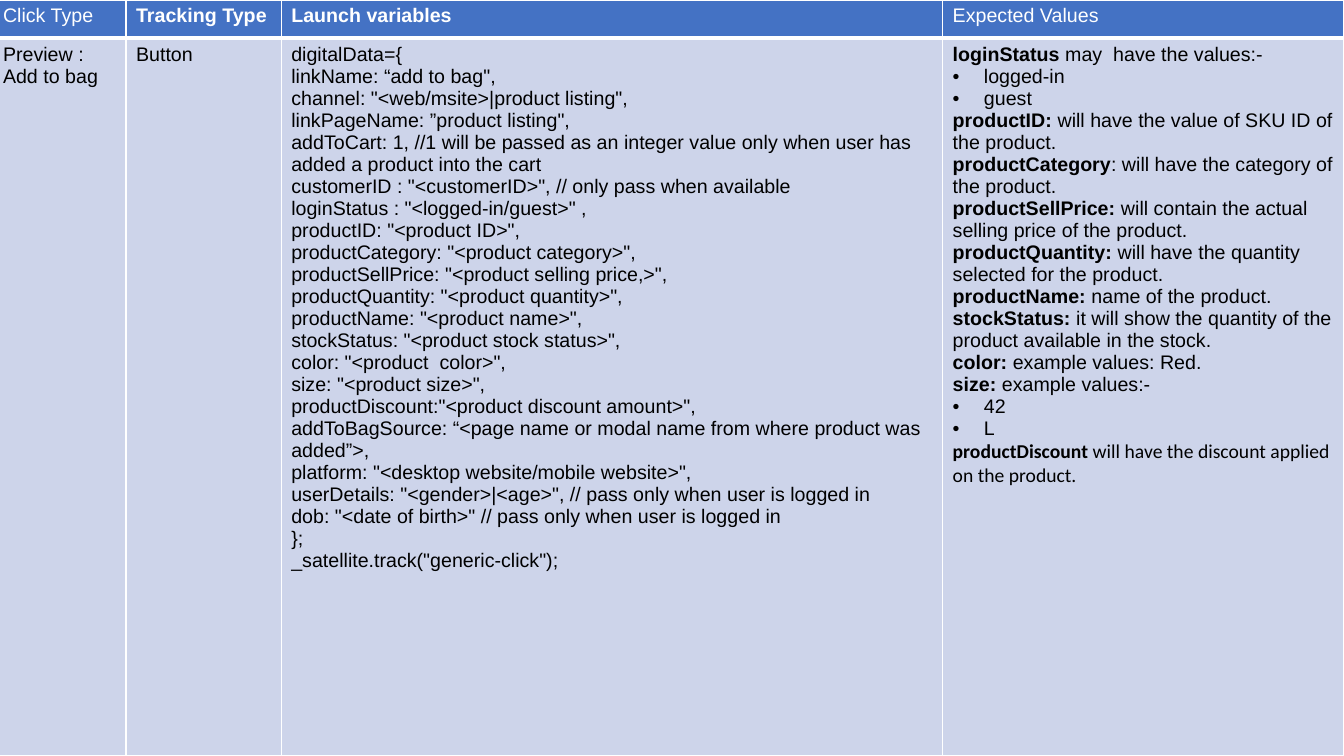
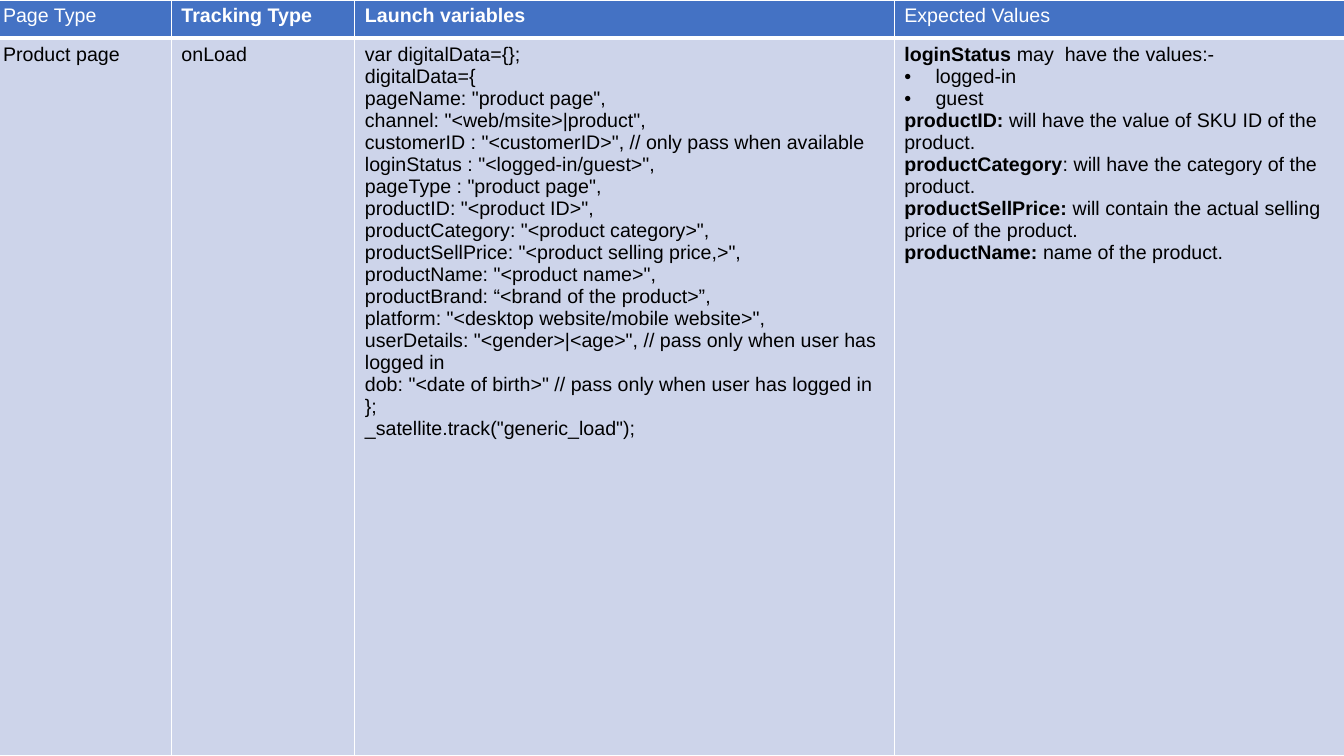
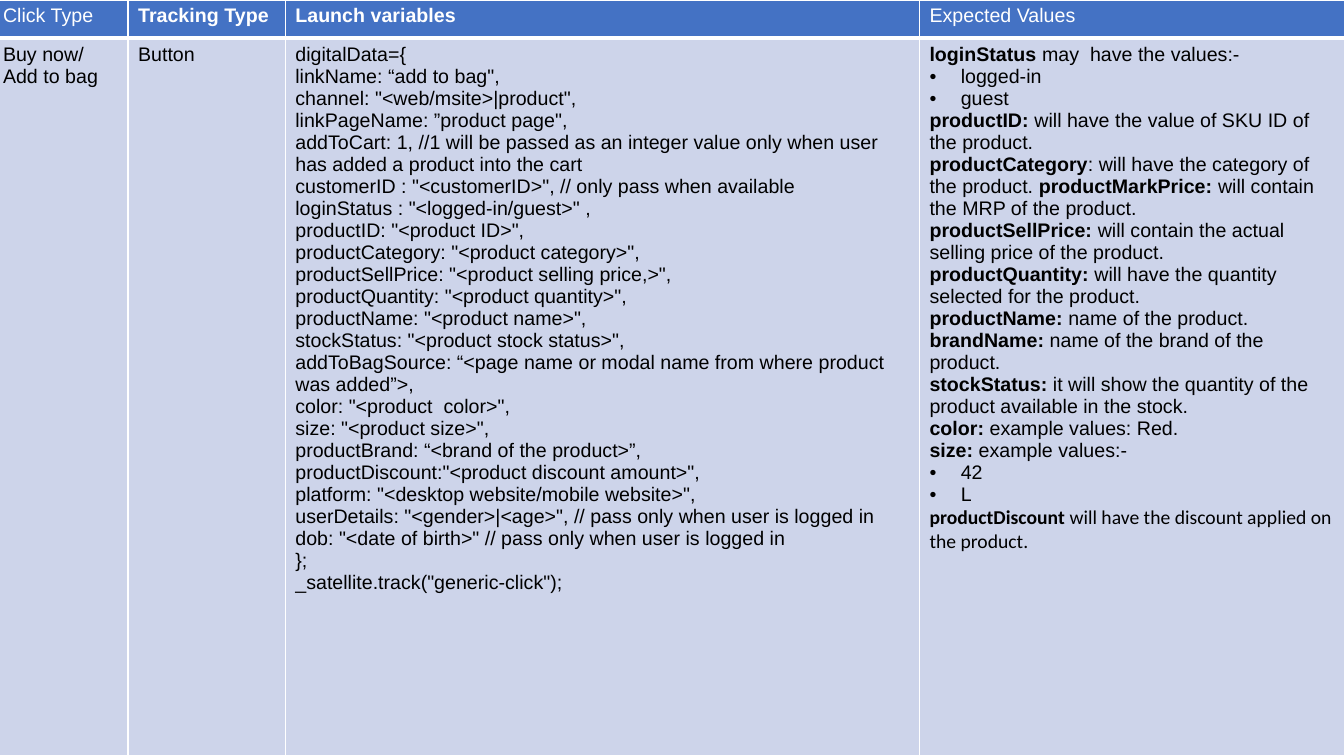
from lxml.etree import SubElement
from pptx import Presentation
from pptx.dml.color import RGBColor
from pptx.oxml.ns import qn
from pptx.util import Inches, Pt

COLORS = {"header": "4472C4", "body": "CDD4EA", "white": "FFFFFF", "black": "000000"}
FONT, DISCOUNT_FONT, TEXT_SIZE = "Arial", "Calibri", Pt(14)
ROW_HEIGHTS = (0.38, 7.12)
HEADINGS = ("Tracking Type", "Launch variables", "Expected Values")
BOLD_HEADINGS = ("Tracking Type", "Launch variables")
BULLET_INDENT = Inches(0.31)
THIN, THICK = Pt(1), Pt(3)

# Launch variables: one string per paragraph, "\n" is a line break
ADD_TO_CART = ("addToCart: 1, //1 will be passed as an integer value only when user has "
               "added a product into the cart")
BAG_SOURCE = "addToBagSource: “<page name or modal name from where product was added”>,"
CUSTOMER = 'customerID : "<customerID>", // only pass when available'
STOCK = 'stockStatus: "<product stock status>",'
COLOR = 'color: "<product  color>",'
SIZE = 'size: "<product size>",'
BRAND = "productBrand: “<brand of the product>”,"
DISCOUNT = 'productDiscount:"<product discount amount>",'
PRODUCT = [
    'productID: "<product ID>",',
    'productCategory: "<product category>",',
    'productSellPrice: "<product selling price,>",',
]
QUANTITY = 'productQuantity: "<product quantity>",'
NAME = 'productName: "<product name>",'


def user_lines(verb):
    return ('platform: "<desktop website/mobile website>",\n'
            f'userDetails: "<gender>|<age>", // pass only when user {verb} logged in\n'
            f'dob: "<date of birth>" // pass only when user {verb} logged in')


def click_variables(channel, link_page, details):
    return [
        "digitalData={",
        'linkName: “add to bag",',
        f'channel: "<web/msite>|{channel}",',
        f'linkPageName: ”{link_page}",',
        ADD_TO_CART,
        CUSTOMER,
        'loginStatus : "<logged-in/guest>" ,',
        *PRODUCT, QUANTITY, NAME,
        *details,
        "};",
        '_satellite.track("generic-click");',
    ]


# Expected values: a tuple alternates bold and regular text, a string is a bullet
LOGIN_VALUES = [("loginStatus ", "may  have the values:-"), "logged-in", "guest"]
ID_VALUE = ("productID:", " will have the value of SKU ID of the product.")
CATEGORY_VALUE = ("productCategory", ": will have the category of the product.")
CATEGORY_AND_MARK_VALUE = ("productCategory", ": will have the category of the product. ",
                           "productMarkPrice: ", "will contain the MRP of the product.")
SELL_VALUE = ("productSellPrice: ", "will contain the actual selling price of the product.")
QUANTITY_VALUE = ("productQuantity: ", "will have the quantity selected for the product.")
NAME_VALUE = ("productName: ", "name of the product.")
BRAND_VALUE = ("brandName: ", "name of the brand of the product.")
STOCK_VALUES = [
    ("stockStatus: ", "it will show the quantity of the product available in the stock."),
    ("color: ", "example values: Red."),
    ("size: ", "example values:-"),
    "42",
    "L",
    ("productDiscount ", "will have the discount applied on the product."),
]

SLIDES = [
    {
        "columns": (1.32, 1.54, 6.56, 3.98),
        "type": "Click Type", "item": "Preview : Add to bag", "tracking": "Button",
        "variables": click_variables("product listing", "product listing", [
            f"{STOCK}\n{COLOR}", SIZE, DISCOUNT, f"{BAG_SOURCE}\n{user_lines('is')}"]),
        "values": [*LOGIN_VALUES, ID_VALUE, CATEGORY_VALUE, SELL_VALUE, QUANTITY_VALUE,
                   NAME_VALUE, *STOCK_VALUES],
    },
    {
        "columns": (1.77, 1.82, 5.35, 4.47),
        "type": "Page Type", "item": "Product page", "tracking": "onLoad",
        "variables": [
            "var digitalData={};",
            "digitalData={",
            'pageName: "product page",',
            'channel: "<web/msite>|product",',
            CUSTOMER,
            'loginStatus : "<logged-in/guest>",',
            'pageType : "product page",',
            *PRODUCT, NAME, BRAND,
            user_lines("has"),
            "};",
            '_satellite.track("generic_load");',
        ],
        "values": [*LOGIN_VALUES, ID_VALUE, CATEGORY_VALUE, SELL_VALUE, NAME_VALUE],
    },
    {
        "columns": (1.34, 1.56, 6.29, 4.22),
        "type": "Click Type", "item": "Buy now/ Add to bag", "tracking": "Button",
        "variables": click_variables("product", "product page", [
            STOCK, f"{BAG_SOURCE}\n{COLOR}", SIZE, BRAND, f"{DISCOUNT}\n{user_lines('is')}"]),
        "values": [*LOGIN_VALUES, ID_VALUE, CATEGORY_AND_MARK_VALUE, SELL_VALUE,
                   QUANTITY_VALUE, NAME_VALUE, BRAND_VALUE, *STOCK_VALUES],
    },
]


def style_cell(cell, fill, top, bottom):
    """Draw the white borders, then fill the cell."""
    properties = cell._tc.get_or_add_tcPr()
    for side, width in (("L", THIN), ("R", THIN), ("T", top), ("B", bottom)):
        line = SubElement(properties, qn(f"a:ln{side}"), w=str(width))
        solid = SubElement(line, qn("a:solidFill"))
        SubElement(solid, qn("a:srgbClr"), val=COLORS["white"])
    cell.fill.solid()
    cell.fill.fore_color.rgb = RGBColor.from_string(COLORS[fill])


def add_text(paragraph, text, color="black", bold=False, font=FONT):
    for index, line in enumerate(text.split("\n")):
        if index:
            paragraph.add_line_break()
        run = paragraph.add_run()
        run.text = line
        run.font.name = font
        run.font.size = TEXT_SIZE
        run.font.bold = bold
        run.font.color.rgb = RGBColor.from_string(COLORS[color])


def add_bullet(paragraph):
    properties = paragraph._p.get_or_add_pPr()
    properties.set("marL", str(BULLET_INDENT))
    properties.set("indent", str(-BULLET_INDENT))
    color = SubElement(properties, qn("a:buClr"))
    SubElement(color, qn("a:srgbClr"), val=COLORS["black"])
    SubElement(properties, qn("a:buFont"), typeface=FONT)
    SubElement(properties, qn("a:buChar"), char="•")


def paragraphs_for(cell, items):
    """Yield each item with its own paragraph of the cell."""
    frame = cell.text_frame
    for index, item in enumerate(items):
        yield (frame.add_paragraph() if index else frame.paragraphs[0]), item


def fill_values(cell, values):
    for paragraph, value in paragraphs_for(cell, values):
        if isinstance(value, str):
            add_bullet(paragraph)
            add_text(paragraph, value)
            continue
        font = DISCOUNT_FONT if value[0].startswith("productDiscount") else FONT
        for index, text in enumerate(value):
            add_text(paragraph, text, bold=index % 2 == 0, font=font)


def add_tracking_table(slide, content):
    columns = content["columns"]
    table = slide.shapes.add_table(
        2, len(columns), Inches(-0.07), Inches(0),
        Inches(sum(columns)), Inches(sum(ROW_HEIGHTS))).table
    for column, width in zip(table.columns, columns):
        column.width = Inches(width)
    for row, height in zip(table.rows, ROW_HEIGHTS):
        row.height = Inches(height)

    for cell, heading in zip(table.rows[0].cells, (content["type"], *HEADINGS)):
        style_cell(cell, "header", THIN, THICK)
        add_text(cell.text_frame.paragraphs[0], heading, "white", heading in BOLD_HEADINGS)

    body_cells = list(table.rows[1].cells)
    for cell in body_cells:
        style_cell(cell, "body", THICK, THIN)
    texts = ([content["item"]], [content["tracking"]], content["variables"])
    for cell, lines in zip(body_cells, texts):
        for paragraph, line in paragraphs_for(cell, lines):
            add_text(paragraph, line)
    fill_values(body_cells[-1], content["values"])


def main():
    presentation = Presentation()
    presentation.slide_width = Inches(13.33)
    presentation.slide_height = Inches(7.5)
    blank_layout = presentation.slide_layouts[6]
    for content in SLIDES:
        add_tracking_table(presentation.slides.add_slide(blank_layout), content)
    presentation.save("out.pptx")


if __name__ == "__main__":
    main()
